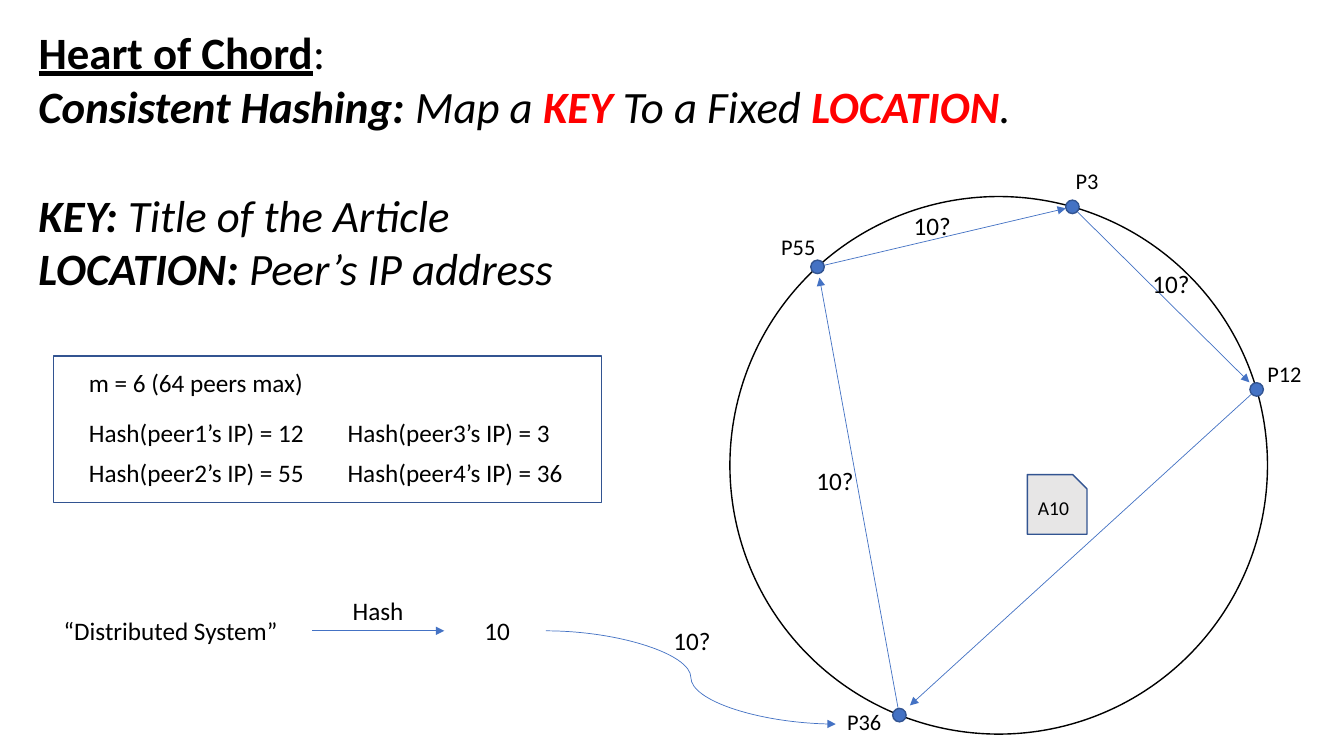
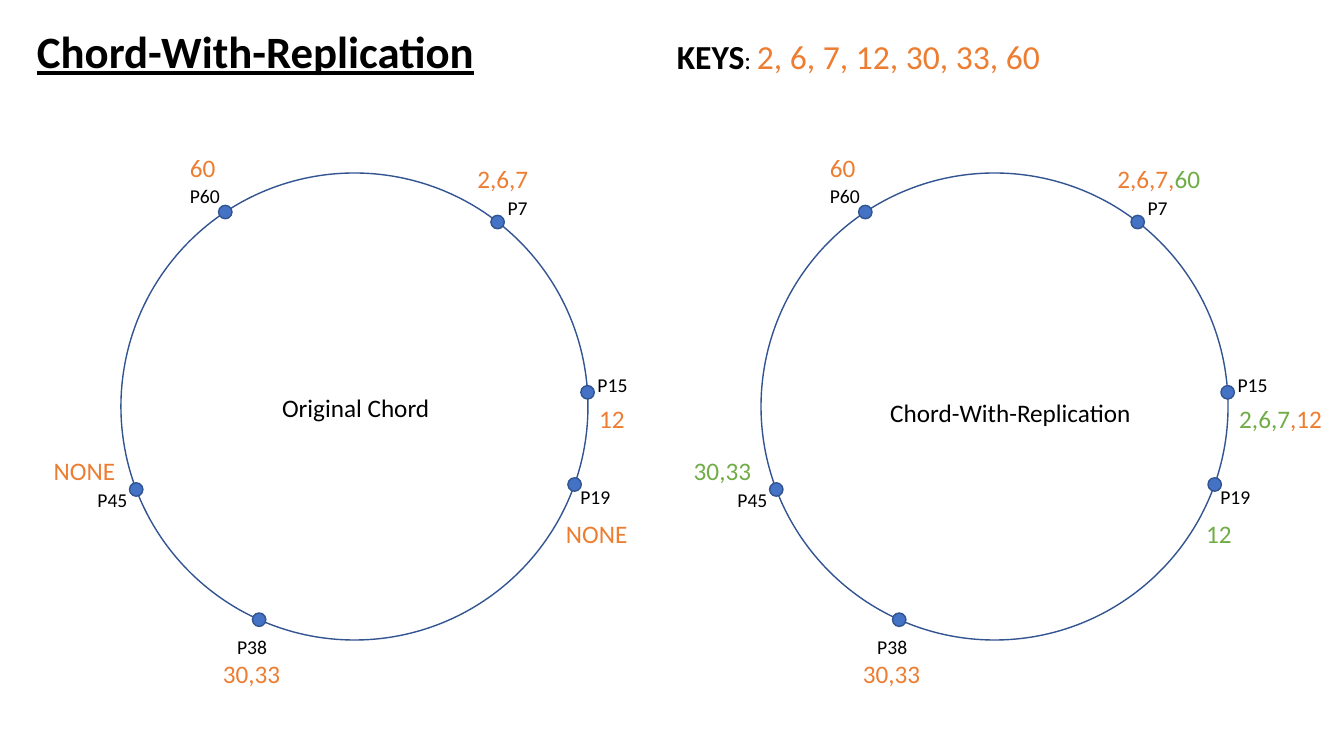
import math
from dataclasses import dataclass

import pptx
import pptx.dml.color
import pptx.enum.shapes
import pptx.enum.text
import pptx.oxml.ns
import pptx.util
from lxml import etree

SHAPE = pptx.enum.shapes.MSO_SHAPE
CONNECTOR = pptx.enum.shapes.MSO_CONNECTOR
ALIGN = pptx.enum.text.PP_ALIGN
ANCHOR = pptx.enum.text.MSO_ANCHOR
AUTO_SIZE = pptx.enum.text.MSO_AUTO_SIZE


@dataclass(frozen=True)
class Theme:
    font: str = "Calibri"
    ink: str = "000000"
    accent: str = "4472C4"
    outline: str = "325491"
    paper: str = "E7E6E6"
    alert: str = "FF0000"
    own: str = "ED7D31"
    replica: str = "70AD47"
    title: int = 32
    keys: int = 24
    body: int = 18
    peer: int = 16
    small: int = 14
    line: float = 1
    arrow: float = 0.5
    node: float = 1.6


T = Theme()
WIDTH = pptx.util.Inches(13.333)
HEIGHT = pptx.util.Inches(7.5)
COLUMNS = 160
CELL = WIDTH / COLUMNS

HASHES = [
    ("m = 6 (64 peers max)", 9.4, 43.1, 28.2),
    ("Hash(peer1’s IP) = 12", 9.4, 49.1, 28.3),
    ("Hash(peer2’s IP) = 55", 9.4, 53.9, 28.3),
    ("Hash(peer3’s IP) = 3", 40.2, 49.1, 26.8),
    ("Hash(peer4’s IP) = 36", 40.2, 53.9, 28.3),
    ("“Distributed System”", 6.4, 72.7, 28.1),
    ("Hash", 40.8, 70.3, 8.5),
    ("10", 56.5, 72.7, 5.5),
]
QUERIES = [(136, 31.4), (96, 54.8), (107.6, 24.4), (79, 73.8)]

# name: angle, label offset and width
LOOKUP_PEERS = {
    "P3": (15.9, -0.8, -5.3, 5.2),
    "P12": (73.6, 0.1, -4.1, 6.6),
    "P36": (201.7, -7.4, -1.4, 6.6),
    "P55": (317.6, -5.5, -4.6, 6.6),
}
LOOKUP_HOPS = [("P36", "P55", 1.3), ("P55", "P3", 0.8), ("P3", "P12", 1.2), ("P12", "P36", 1.7)]

REPLICA_PEERS = {
    "P7": (37.8, 0, -3.7, 5.4),
    "P15": (86.5, 0, -2.9, 6.6),
    "P19": (109.5, -0.5, -0.5, 6.2),
    "P38": (204.1, -3.8, 1.2, 6.1),
    "P45": (249.2, -5.8, -0.8, 6.6),
    "P60": (326.4, -5.4, -3.9, 8.4),
}
KEY_OFFSETS = {
    "P7": (-3.6, -7.6),
    "P15": (0.2, 0.7),
    "P19": (-2.2, 3.4),
    "P38": (-5.5, 4),
    "P45": (-11, -4.7),
    "P60": (-5.4, -7.7),
}
PLAIN_KEYS = {
    "P7": (8.5, [("2,6,7", T.own)]),
    "P15": (5.5, [("12", T.own)]),
    "P19": (9.8, [("NONE", T.own)]),
    "P38": (9.4, [("30,33", T.own)]),
    "P45": (9.8, [("NONE", T.own)]),
    "P60": (5.5, [("60", T.own)]),
}
REPLICATED_KEYS = {
    "P7": (12.4, [("2,6,7,", T.own), ("60", T.replica)]),
    "P15": (12.4, [("2,6,7", T.replica), (",12", T.own)]),
    "P19": (5.5, [("12", T.replica)]),
    "P38": (9.4, [("30,33", T.own)]),
    "P45": (9.4, [("30,33", T.replica)]),
    "P60": (5.5, [("60", T.own)]),
}


def cells(*values):
    return [round(v * CELL) for v in values]


def rgb(value):
    return pptx.dml.color.RGBColor.from_string(value)


def line_height(size):
    return size * 1.22 / 72 * COLUMNS / (WIDTH / 914400)


def style(font, size=None, color=None, bold=None, italic=None, underline=None):
    if size:
        font.size = pptx.util.Pt(size)
    if color:
        font.color.rgb = rgb(color)
    for name, value in (("bold", bold), ("italic", italic), ("underline", underline)):
        if value is not None:
            setattr(font, name, value)


def write(p, runs, size, **shared):
    p.font.name = T.font
    style(p.font, size, **{"color": T.ink, **shared})
    for content, look in runs:
        r = p.add_run()
        r.text = content
        style(r.font, **look)


def frame(sp, wrap):
    tf = sp.text_frame
    tf.word_wrap = wrap
    tf.auto_size = AUTO_SIZE.SHAPE_TO_FIT_TEXT
    tf.vertical_anchor = ANCHOR.TOP
    return tf


def text(slide, x, y, w, runs, size=T.body, wrap=False, **shared):
    if isinstance(runs, str):
        runs = [(runs, {})]
    sp = slide.shapes.add_textbox(*cells(x, y, w, line_height(size) + 1.2))
    write(frame(sp, wrap).paragraphs[0], runs, size, **shared)
    return sp


def title(slide, x, y, w, runs):
    sp = slide.shapes.title
    sp.left, sp.top, sp.width, sp.height = cells(x, y, w, line_height(T.title) + 1.2)
    p = frame(sp, True).paragraphs[0]
    p.alignment = ALIGN.LEFT
    write(p, runs, T.title)


def shape(slide, kind, x, y, w, h, fill=None, outline=T.outline):
    sp = slide.shapes.add_shape(kind, *cells(x, y, w, h))
    sp.shadow.inherit = False
    if fill:
        sp.fill.solid()
        sp.fill.fore_color.rgb = rgb(fill)
    else:
        sp.fill.background()
    sp.line.color.rgb = rgb(outline)
    sp.line.width = pptx.util.Pt(T.line)
    return sp


def circle(slide, center, radius, **look):
    x, y = center
    return shape(slide, SHAPE.OVAL, x - radius, y - radius, 2 * radius, 2 * radius, **look)


def arrow(slide, start, end, kind=CONNECTOR.STRAIGHT):
    cx = slide.shapes.add_connector(kind, *cells(*start, *end))
    cx.line.color.rgb = rgb(T.accent)
    cx.line.width = pptx.util.Pt(T.arrow)
    qn = pptx.oxml.ns.qn
    etree.SubElement(cx.line._get_or_add_ln(), qn("a:tailEnd"), type="triangle")
    etree.SubElement(cx._element.spPr, qn("a:effectLst"))


def hop(slide, start, end, gap):
    share = 1 - gap / math.dist(start, end)
    stop = [a + (b - a) * share for a, b in zip(start, end)]
    arrow(slide, start, stop)


def ring(slide, center, radius, peers, size, outline=T.outline, wrap=False, hops=()):
    circle(slide, center, radius, outline=outline)
    nodes = {}
    for name, (angle, *_) in peers.items():
        turn = math.radians(angle)
        nodes[name] = (center[0] + radius * math.sin(turn), center[1] - radius * math.cos(turn))
    for start, end, gap in hops:
        hop(slide, nodes[start], nodes[end], gap)
    for name, (x, y) in nodes.items():
        circle(slide, (x, y), T.node / 2, fill=T.accent)
        _, dx, dy, w = peers[name]
        text(slide, x + dx, y + dy, w, name, size, wrap)
    return nodes


def key_ring(slide, center, keys):
    nodes = ring(slide, center, 27.8, REPLICA_PEERS, T.small, wrap=True)
    for name, (w, parts) in keys.items():
        x, y = nodes[name]
        dx, dy = KEY_OFFSETS[name]
        if len(parts) == 1:
            content, color = parts[0]
            text(slide, x + dx, y + dy, w, content, color=color)
        else:
            text(slide, x + dx, y + dy, w, [(s, {"color": c}) for s, c in parts])


def article(slide, x, y, side, name):
    sp = shape(slide, SHAPE.SNIP_1_RECTANGLE, x, y, side, side, fill=T.paper)
    sp.adjustments[0] = 0.24
    sp.text_frame.vertical_anchor = ANCHOR.MIDDLE
    p = sp.text_frame.paragraphs[0]
    p.alignment = ALIGN.CENTER
    write(p, [(name, {})], T.small)


def hashing_slide(slide):
    strong, alert = {"bold": True}, {"bold": True, "color": T.alert}
    title(slide, 3.4, 2.3, 145, [("Heart of Chord", {"bold": True, "underline": True}), (":", {"bold": False})])
    sp = text(slide, 3.4, 2.3 + line_height(T.title), 145, [
        ("Consistent Hashing: ", strong), ("Map a ", {}), ("KEY ", alert),
        ("To a Fixed ", {}), ("LOCATION", alert), (".", {}),
    ], T.title, True, italic=True)
    for term, meaning in (("KEY: ", "Title of the Article"), ("LOCATION: ", "Peer’s IP address")):
        p = sp.text_frame.add_paragraph()
        write(p, [(term, strong), (meaning, {})], T.title, italic=True)
    sp.text_frame.paragraphs[1].space_before = pptx.util.Pt(T.title * 1.22)

    shape(slide, SHAPE.RECTANGLE, 6.4, 42.4, 65.2, 17.4)
    for content, x, y, w in HASHES:
        text(slide, x, y, w, content)
    arrow(slide, (37.2, 75.1), (52.9, 75.1))
    arrow(slide, (65, 75.1), (99.5, 86.2), CONNECTOR.CURVE)
    ring(slide, (118.9, 55.4), 32, LOOKUP_PEERS, T.peer, outline=T.ink, hops=LOOKUP_HOPS)
    article(slide, 122.3, 56.5, 7.1, "A10")
    for x, y in QUERIES:
        text(slide, x, y, 7, "10?")


def replication_slide(slide):
    title(slide, 3.2, 2.2, 60, [("Chord-With-Replication", {"bold": True, "underline": True})])
    text(slide, 79.4, 3.7, 46, [
        ("KEYS", {"bold": True}), (": ", {"size": T.body}),
        ("2, 6, 7, 12, 30, 33, 60", {"color": T.own}),
    ], T.keys)
    key_ring(slide, (42.2, 48.4), PLAIN_KEYS)
    key_ring(slide, (118.4, 48.4), REPLICATED_KEYS)
    text(slide, 32.4, 46.1, 20.2, "Original Chord")
    text(slide, 104.8, 46.7, 31.3, "Chord-With-Replication")


def main():
    prs = pptx.Presentation()
    prs.slide_width, prs.slide_height = WIDTH, HEIGHT
    for build in (hashing_slide, replication_slide):
        build(prs.slides.add_slide(prs.slide_layouts[5]))
    prs.save("out.pptx")


main()
